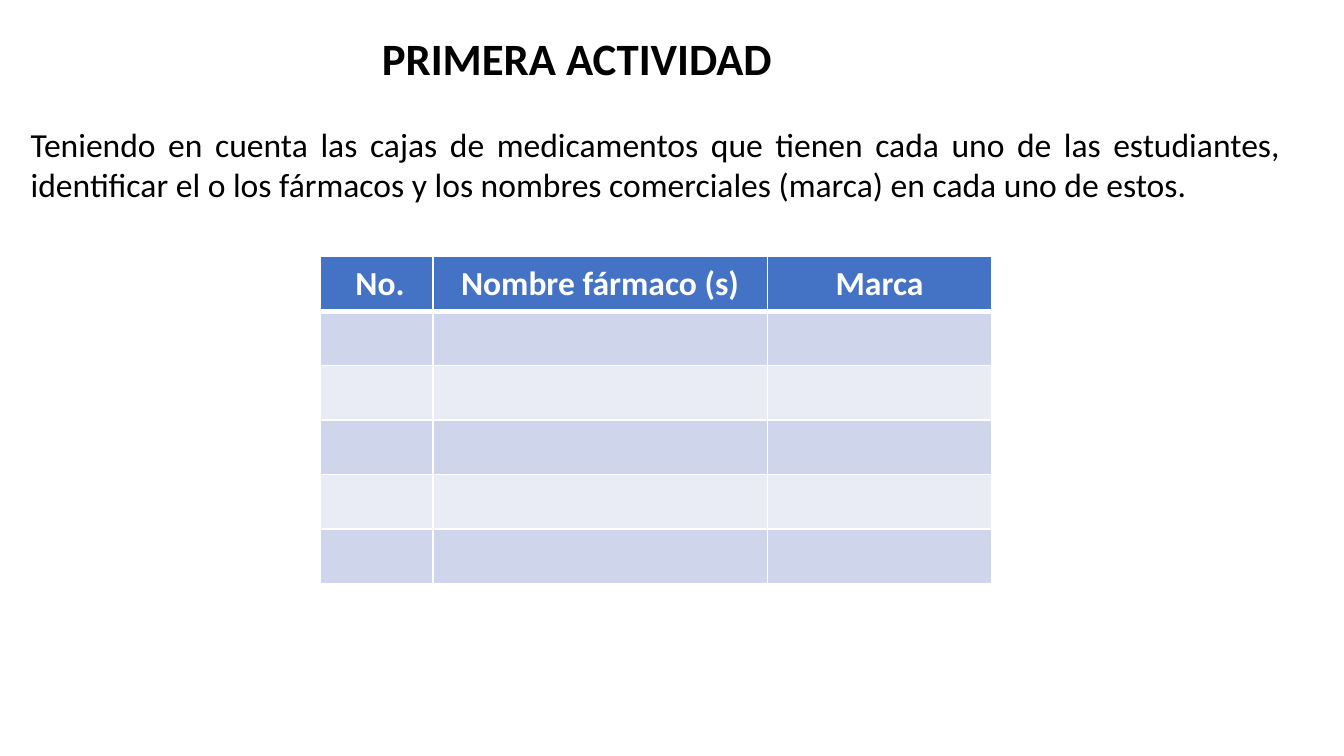
import pptx
import pptx.dml.color
import pptx.enum.text
import pptx.oxml
import pptx.oxml.ns
import pptx.util
from pptx.util import Inches

FONT = "Calibri"
HEADERS = [" No.", "Nombre fármaco (s)", "Marca"]
COLUMN_WIDTHS = [0.84, 2.49, 1.67]
ROW_COUNT = 6
HEADER_FILL = "4472C4"
BAND_FILLS = ["CFD5EA", "E9EBF5"]
ALIGN = pptx.enum.text.PP_ALIGN


def color(value):
    return pptx.dml.color.RGBColor.from_string(value)


def write_text(text_frame, text, size, alignment, bold=False, text_color="000000"):
    text_frame.text = text
    paragraph = text_frame.paragraphs[0]
    paragraph.alignment = alignment
    for run in paragraph.runs:
        run.font.name = FONT
        run.font.size = pptx.util.Pt(size)
        run.font.bold = bold
        run.font.color.rgb = color(text_color)


def prepare_frame(text_frame):
    text_frame.word_wrap = True
    text_frame.auto_size = pptx.enum.text.MSO_AUTO_SIZE.NONE
    text_frame.vertical_anchor = pptx.enum.text.MSO_ANCHOR.TOP


def add_title(slide, left, top, width, height):
    title = slide.shapes.title
    title.left, title.top = Inches(left), Inches(top)
    title.width, title.height = Inches(width), Inches(height)
    prepare_frame(title.text_frame)
    write_text(title.text_frame, "PRIMERA ACTIVIDAD ", 24, ALIGN.CENTER, bold=True)


def add_instructions(slide, left, top, width, height):
    box = slide.shapes.add_textbox(Inches(left), Inches(top), Inches(width), Inches(height))
    prepare_frame(box.text_frame)
    write_text(
        box.text_frame,
        "Teniendo en cuenta las cajas de medicamentos que tienen cada uno de las "
        "estudiantes, identificar el o los fármacos y los nombres comerciales (marca) "
        "en cada uno de estos. ",
        18,
        ALIGN.JUSTIFY,
    )


def set_borders(cell, top_width, bottom_width):
    properties = cell._tc.get_or_add_tcPr()
    widths = {"lnL": 1, "lnR": 1, "lnT": top_width, "lnB": bottom_width}
    for side, width in widths.items():
        properties.append(pptx.oxml.parse_xml(
            f'<a:{side} {pptx.oxml.ns.nsdecls("a")} w="{pptx.util.Pt(width)}">'
            f'<a:solidFill><a:srgbClr val="FFFFFF"/></a:solidFill></a:{side}>'
        ))


def add_medicine_table(slide, left, top, width, height):
    frame = slide.shapes.add_table(
        ROW_COUNT, len(HEADERS), Inches(left), Inches(top), Inches(width), Inches(height)
    )
    table = frame.table
    for column, share in zip(table.columns, COLUMN_WIDTHS):
        column.width = Inches(width * share / sum(COLUMN_WIDTHS))
    for row_index, row in enumerate(table.rows):
        row.height = Inches(height / ROW_COUNT)
        is_header = row_index == 0
        fill = HEADER_FILL if is_header else BAND_FILLS[(row_index - 1) % 2]
        for header, cell in zip(HEADERS, row.cells):
            set_borders(cell, 3 if row_index == 1 else 1, 3 if is_header else 1)
            cell.fill.solid()
            cell.fill.fore_color.rgb = color(fill)
            if is_header:
                write_text(cell.text_frame, header, 18, ALIGN.CENTER, True, "FFFFFF")


def main():
    presentation = pptx.Presentation()
    presentation.slide_width = Inches(10)
    presentation.slide_height = presentation.slide_width * 9 // 16
    slide = presentation.slides.add_slide(presentation.slide_layouts[5])
    add_title(slide, 0.37, 0.18, 7.92, 0.5)
    add_instructions(slide, 0.13, 0.87, 9.5, 0.71)
    add_medicine_table(slide, 2.38, 1.91, 5, 2.43)
    presentation.save("out.pptx")


if __name__ == "__main__":
    main()
